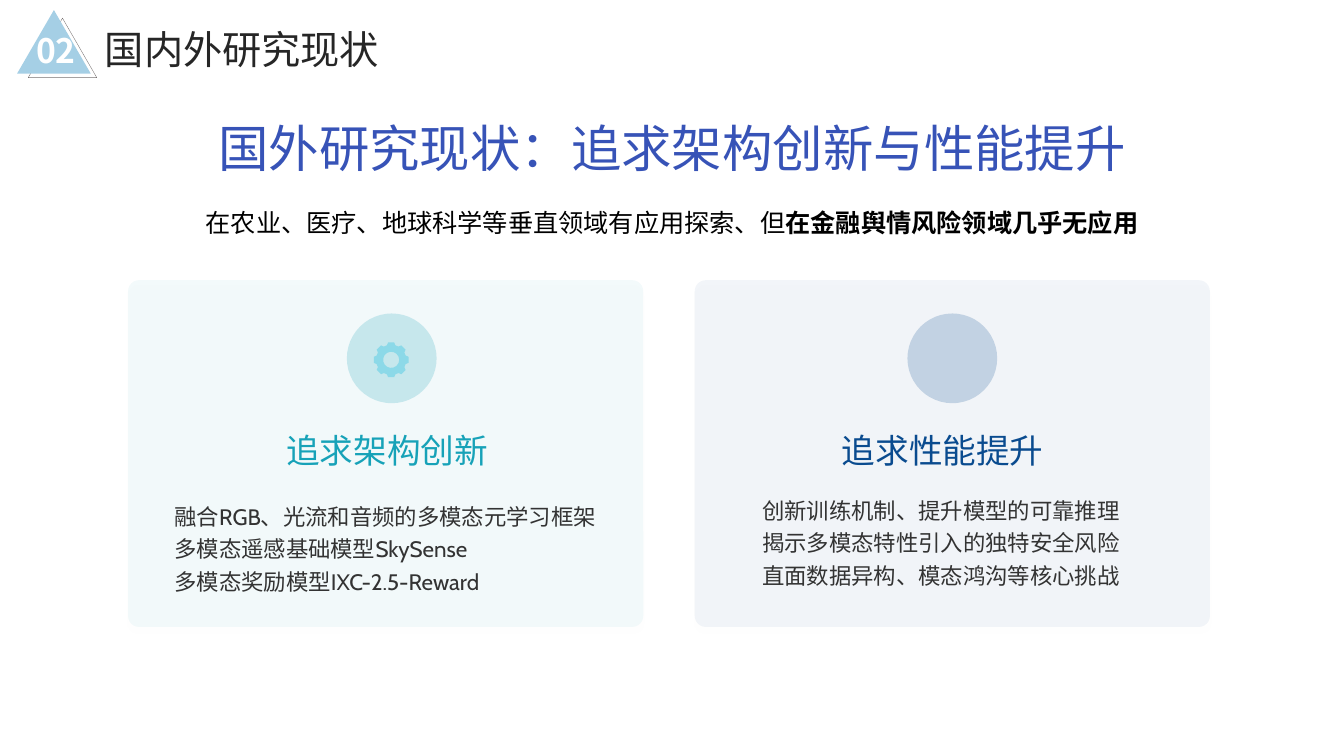
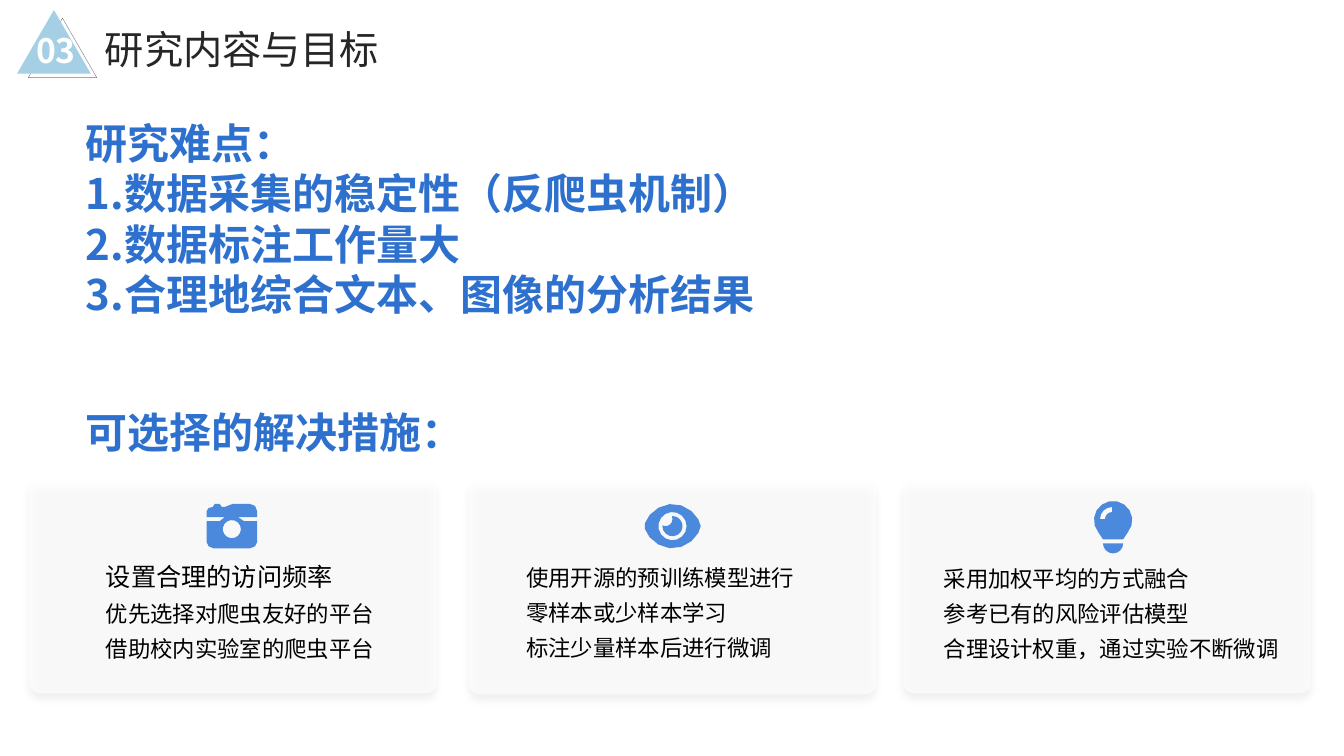
"""Builds two slides on the state of research and on research goals."""
from math import cos, pi, radians, sin

from lxml.etree import SubElement
from pptx import Presentation
from pptx.dml.color import RGBColor
from pptx.enum.shapes import MSO_SHAPE as Preset
from pptx.enum.text import MSO_ANCHOR as Anchor, MSO_AUTO_SIZE as AutoSize, PP_ALIGN as Align
from pptx.oxml.ns import qn
from pptx.util import Inches, Pt

WIDTH, HEIGHT = 13.33, 7.5
CJK = "Noto Sans CJK SC"
COLORS = dict(
    badge="A5CFE5", outline="767171", white="FFFFFF", black="000000", title="262626",
    headline="3753B7", body="333333", teal="17A2B8", navy="0A4B8F", gear="8CD9E8",
    heading="2E70CD", icon="4A89DC",
)

HEADLINE = "国外研究现状：追求架构创新与性能提升"
SUMMARY = [
    ("在农业、医疗、地球科学等垂直领域有应用探索、但", {}),
    ("在金融舆情风险领域几乎无应用", {"bold": True}),
]
TRENDS = [
    dict(color="teal", heading="追求架构创新", heading_center=3.84, box=(1.73, 4.89, 4.38, 1.06),
         circle_left=3.44, lines=["融合RGB、光流和音频的多模态元学习框架", "多模态遥感基础模型SkySense",
                                  "多模态奖励模型IXC-2.5-Reward"]),
    dict(color="navy", heading="追求性能提升", heading_center=9.35, box=(7.56, 4.83, 4.26, 1.06),
         circle_left=9, lines=["创新训练机制、提升模型的可靠推理", "揭示多模态特性引入的独特安全风险",
                               "直面数据异构、模态鸿沟等核心挑战"]),
]
DIFFICULTIES = ["研究难点：", "1.数据采集的稳定性（反爬虫机制）", "2.数据标注工作量大",
                "3.合理地综合文本、图像的分析结果"]
MEASURES_HEADING = "可选择的解决措施："
MEASURES = [
    dict(icon="camera", icon_center=2.3, card=(0.29, 4.77), box=(1.05, 5.34, 2.68, 1.37),
         lines=[[("设置合理的访问频率", {"size": 18})], "优先选择对爬虫友好的平台", "借助校内实验室的爬虫平台"]),
    dict(icon="eye", icon_center=6.67, card=(4.65, 4.78), box=(5.22, 5.56, 2.89, 0.95),
         lines=["使用开源的预训练模型进行", "零样本或少样本学习", "标注少量样本后进行微调"]),
    dict(icon="bulb", icon_center=11.04, card=(8.96, 4.77), box=(9.36, 5.57, 3.49, 0.95),
         lines=["采用加权平均的方式融合", "参考已有的风险评估模型", "合理设计权重，通过实验不断微调"]),
]


def arc(x, y, radius_x, radius_y, start=0, stop=360, power=1.0):
    """Return points along an elliptical arc, angles in degrees."""
    steps = max(3, round(abs(stop - start) / 24))
    angles = [radians(start + (stop - start) * step / steps) for step in range(steps + 1)]
    return [(x + radius_x * cos(angle),
             y + radius_y * abs(sin(angle)) ** power * (1 if sin(angle) > 0 else -1))
            for angle in angles]


def gear_outline(teeth=8, inner=0.15, outer=0.175):
    """Return the points of a toothed wheel."""
    offsets = [(-0.36, inner), (-0.22, outer), (0.22, outer), (0.36, inner)]
    return [(radius * cos(2 * pi * (tooth + offset) / teeth),
             radius * sin(2 * pi * (tooth + offset) / teeth))
            for tooth in range(teeth) for offset, radius in offsets]


ICONS = {
    "gear": [gear_outline(), arc(0, 0, 0.08, 0.08)],
    "camera": [
        [(-0.25, 0.16), (-0.25, -0.05), (-0.12, -0.05), (-0.07, -0.09), (-0.25, -0.09),
         (-0.25, -0.15), (-0.23, -0.18), (-0.19, -0.19), (-0.17, -0.22), (-0.12, -0.22),
         (-0.1, -0.19), (-0.07, -0.19), (-0.02, -0.21), (0.01, -0.22), (0.18, -0.22),
         (0.23, -0.2), (0.25, -0.15), (0.25, -0.09), (0.06, -0.09), (0.12, -0.05),
         (0.25, -0.05), (0.25, 0.16), (0.23, 0.2), (0.18, 0.22), (-0.18, 0.22), (-0.23, 0.2)],
        arc(0, 0.03, 0.09, 0.09),
    ],
    "eye": [
        arc(0, 0, 0.28, 0.22, power=1.3),
        arc(0, 0, 0.14, 0.14),
        arc(0, 0, 0.1, 0.1, 270, 540) + arc(-0.07, -0.07, 0.07, 0.07, 115, -20),
    ],
    "bulb": [
        arc(0, -0.06, 0.19, 0.19, 140, 400) + [(0.1, 0.13), (-0.1, 0.13)],
        arc(0, 0.17, 0.1, 0.1, 0, 180),
        arc(-0.01, -0.07, 0.12, 0.12, 180, 270) + arc(-0.01, -0.07, 0.07, 0.07, 270, 180),
    ],
}


def color(name):
    return RGBColor.from_string(COLORS[name])


def set_text(shape, lines, size=16, font=CJK, fill="black", bold=False, align=Align.LEFT,
             spacing=1.0, inset=0, anchor=Anchor.MIDDLE):
    """Write lines, each a string or a list of (text, overrides) runs."""
    frame = shape.text_frame
    frame.auto_size, frame.word_wrap, frame.vertical_anchor = AutoSize.NONE, True, anchor
    frame.margin_left = frame.margin_right = Inches(inset)
    frame.margin_top = frame.margin_bottom = Inches(inset / 2)
    for index, line in enumerate(lines):
        paragraph = frame.add_paragraph() if index else frame.paragraphs[0]
        paragraph.alignment, paragraph.line_spacing = align, spacing
        paragraph.space_before = paragraph.space_after = Pt(0)
        if shape.is_placeholder:
            properties = paragraph._p.get_or_add_pPr()
            properties.set("marL", "0")
            properties.set("indent", "0")
            SubElement(properties, qn("a:buNone"))
        for text, changes in [(line, {})] if isinstance(line, str) else line:
            style = {"size": size, "bold": bold, **changes}
            run = paragraph.add_run()
            run.text = text
            run.font.size, run.font.bold = Pt(style["size"]), style["bold"]
            run.font.color.rgb, run.font.name = color(fill), font
            SubElement(run._r.get_or_add_rPr(), qn("a:ea"), typeface=CJK)


def add_text(slide, box, lines, **formatting):
    shape = slide.shapes.add_textbox(*map(Inches, box))
    set_text(shape, lines, **formatting)


def fill_placeholder(slide, shape, box, lines, **formatting):
    """Place a template placeholder in front and write its text."""
    shape.left, shape.top, shape.width, shape.height = map(Inches, box)
    slide.shapes.element.append(shape.element)
    set_text(shape, lines, **formatting)


def paint(shape, fill=None, opacity=100, line=None):
    shape.shadow.inherit = False
    if fill:
        shape.fill.solid()
        shape.fill.fore_color.rgb = color(fill)
        if opacity < 100:
            target = shape.element.spPr.find(qn("a:solidFill"))[0]
            SubElement(target, qn("a:alpha"), val=str(opacity * 1000))
    else:
        shape.fill.background()
    if line:
        shape.line.color.rgb, shape.line.width = color(line), Pt(0.25)
    else:
        shape.line.fill.background()


def add_preset(slide, preset, box, **look):
    shape = slide.shapes.add_shape(preset, *map(Inches, box))
    paint(shape, **look)
    return shape


def add_card(slide, box, fill, opacity):
    """Add a translucent rounded card with a soft drop shadow."""
    card = add_preset(slide, Preset.ROUNDED_RECTANGLE, box, fill=fill, opacity=opacity)
    card.adjustments[0] = 0.11 / box[3]
    shadow = SubElement(card.element.spPr.find(qn("a:effectLst")), qn("a:outerShdw"),
                        blurRad=str(Pt(6)), dist=str(Pt(4)), dir="5400000",
                        algn="ctr", rotWithShape="0")
    tint = SubElement(shadow, qn("a:srgbClr"), val=COLORS["black"])
    SubElement(tint, qn("a:alpha"), val="10000")


def add_icon(slide, name, x, y, fill):
    contours = [[(Inches(x + dx), Inches(y + dy)) for dx, dy in contour]
                for contour in ICONS[name]]
    builder = slide.shapes.build_freeform(*contours[0][0])
    for index, contour in enumerate(contours):
        if index:
            builder.move_to(*contour[0])
        builder.add_line_segments(contour[1:], close=True)
    paint(builder.convert_to_shape(), fill=fill)


def add_slide(presentation, layout, number, title):
    """Add a slide with the shared numbered badge and title."""
    slide = presentation.slides.add_slide(presentation.slide_layouts[layout])
    add_preset(slide, Preset.ISOSCELES_TRIANGLE, (0.28, 0.18, 0.68, 0.59), line="outline")
    add_preset(slide, Preset.ISOSCELES_TRIANGLE, (0.17, 0.1, 0.73, 0.63), fill="badge")
    add_text(slide, (0.26, 0.25, 0.68, 0.5), [number], size=24, fill="white", bold=True,
             inset=0.1, anchor=Anchor.TOP)
    fill_placeholder(slide, slide.shapes.title, (1.04, 0.23, 4.43, 0.51), [title],
                     size=28, fill="title")
    return slide


def build_status(presentation):
    slide = add_slide(presentation, 3, "02", "国内外研究现状")
    add_text(slide, (0, 1.22, WIDTH, 0.56), [HEADLINE], size=36, fill="headline",
             align=Align.CENTER, spacing=0.9)
    add_text(slide, (0, 1.97, WIDTH, 0.39), [SUMMARY], size=18, font="Cabin",
             align=Align.CENTER, spacing=1.3)
    card_width, gap, left = 5.11, 0.51, 1.27
    bodies = list(slide.placeholders)[1:]
    for index, (trend, body) in enumerate(zip(TRENDS, bodies)):
        tone = trend["color"]
        add_card(slide, (left + index * (card_width + gap), 2.78, card_width, 3.44), tone, 5)
        add_preset(slide, Preset.OVAL, (trend["circle_left"], 3.11, 0.89, 0.89),
                   fill=tone, opacity=20)
        add_text(slide, (trend["heading_center"] - 1.12, 4.22, 2.24, 0.44), [trend["heading"]],
                 size=24, fill=tone, align=Align.CENTER, spacing=1.1)
        fill_placeholder(slide, body, trend["box"], trend["lines"], font="Cabin",
                         fill="body", spacing=1.2)
    add_icon(slide, "gear", 3.88, 3.57, "gear")


def build_goals(presentation):
    slide = add_slide(presentation, 1, "03", "研究内容与目标")
    heading = dict(size=30, fill="heading", bold=True)
    fill_placeholder(slide, slide.placeholders[1], (0.85, 0.97, WIDTH - 0.85, 2.39),
                     DIFFICULTIES, **heading)
    add_text(slide, (0.85, 3.89, 4.04, 0.78), [MEASURES_HEADING], **heading)
    for measure in MEASURES:
        add_card(slide, (*measure["card"], 4.04, 2.11), "white", 60)
        add_icon(slide, measure["icon"], measure["icon_center"], 5.22, "icon")
        add_text(slide, measure["box"], measure["lines"], font="Calibri", spacing=1.3)


def main():
    presentation = Presentation()
    presentation.slide_width, presentation.slide_height = Inches(WIDTH), Inches(HEIGHT)
    build_status(presentation)
    build_goals(presentation)
    presentation.save("out.pptx")


if __name__ == "__main__":
    main()
